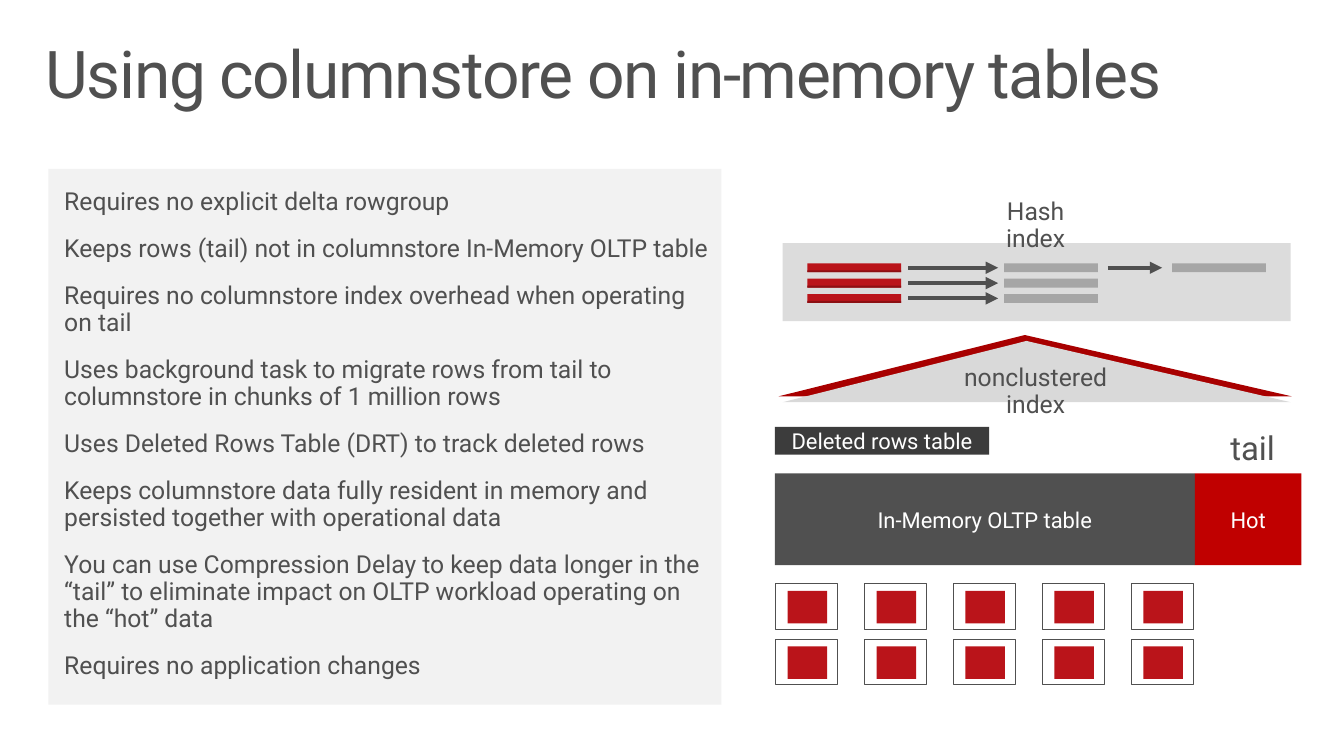
from dataclasses import dataclass, field
from itertools import product
from typing import Any, Optional

from lxml.etree import SubElement
from pptx import Presentation
from pptx.dml.color import RGBColor
from pptx.enum.shapes import MSO_CONNECTOR as Connector, MSO_SHAPE as Preset
from pptx.enum.text import MSO_ANCHOR as Anchor, PP_ALIGN as Align
from pptx.oxml.ns import qn
from pptx.util import Inches, Pt

COLORS = {
    "text": "505050", "white": "FFFFFF", "panel": "F2F2F2", "band": "DCDCDC",
    "tent": "D9D9D9", "roof": "A80000", "red": "BA141A", "red edge": "8C0F13",
    "row": "A6A6A6", "table": "505050", "hot": "C00000", "deleted": "3C3C3C",
}
FONT = "Roboto"
BENEFITS = [
    "Requires no explicit delta rowgroup",
    "Keeps rows (tail) not in columnstore In-Memory OLTP table",
    "Requires no columnstore index overhead when operating on tail",
    "Uses background task to migrate rows from tail to columnstore in chunks of 1 million rows",
    "Uses Deleted Rows Table (DRT) to track deleted rows",
    "Keeps columnstore data fully resident in memory and\npersisted together with operational data",
    "You can use Compression Delay to keep data longer in the “tail” to eliminate impact "
    "on OLTP workload operating on the “hot” data",
    "Requires no application changes",
]
CENTERED = {"alignment": Align.CENTER}
TIGHT = {"line_spacing": 0.9}


@dataclass
class Label:
    paragraphs: list[str]
    size: int
    color: str = "text"
    margins: tuple[float, float, float, float] = (0.1, 0.05, 0.1, 0.05)
    anchor: Anchor = Anchor.TOP
    gap: int = 0
    tracking: int = 0
    layout: dict[str, Any] = field(default_factory=dict)


@dataclass
class Block:
    left: float
    top: float
    width: float
    height: float
    fill: Optional[str] = None
    outline: Optional[str] = None
    preset: Preset = Preset.RECTANGLE
    peak: Optional[float] = None
    label: Optional[Label] = None


@dataclass
class Arrow:
    start: float
    end: float
    y: float


def rgb(name: str) -> RGBColor:
    return RGBColor.from_string(COLORS[name])


def write_label(box: Any, label: Label) -> None:
    frame = box.text_frame
    sides = ("margin_left", "margin_top", "margin_right", "margin_bottom")
    frame_format = {"word_wrap": True, "vertical_anchor": label.anchor}
    frame_format |= {side: Inches(value) for side, value in zip(sides, label.margins)}
    for name, value in frame_format.items():
        setattr(frame, name, value)
    for index, text in enumerate(label.paragraphs):
        para = frame.add_paragraph() if index else frame.paragraphs[0]
        para.text = text
        para_format = {"alignment": Align.LEFT} | label.layout
        if index:
            para_format["space_before"] = Pt(label.gap)
        for name, value in para_format.items():
            setattr(para, name, value)
        for span in para.runs:
            for name, value in {"name": FONT, "size": Pt(label.size)}.items():
                setattr(span.font, name, value)
            span.font.color.rgb = rgb(label.color)
            if label.tracking:
                span.font._element.set("spc", str(label.tracking * 100))


def draw_block(shapes: Any, block: Block) -> None:
    place = [Inches(v) for v in (block.left, block.top, block.width, block.height)]
    if block.label and not block.fill:
        write_label(shapes.add_textbox(*place), block.label)
        return
    box = shapes.add_shape(block.preset, *place)
    box.shadow.inherit = False
    if block.peak is not None:
        box.adjustments[0] = block.peak
    if block.fill:
        box.fill.solid()
        box.fill.fore_color.rgb = rgb(block.fill)
    else:
        box.fill.background()
    if block.outline:
        box.line.color.rgb = rgb(block.outline)
        box.line.width = Pt(0.75)
    else:
        box.line.fill.background()
    if block.label:
        write_label(box, block.label)


def draw_arrow(shapes: Any, arrow: Arrow) -> None:
    line = shapes.add_connector(Connector.STRAIGHT, Inches(arrow.start), Inches(arrow.y),
                                Inches(arrow.end), Inches(arrow.y))
    line.line.color.rgb = rgb("text")
    line.line.width = Pt(3)
    SubElement(line.line._get_or_add_ln(), qn("a:tailEnd"), type="triangle")
    SubElement(line._element.spPr, qn("a:effectLst"))


def draw_hash_rows(shapes: Any) -> None:
    bar_width, bar_height, first_y, pitch = 0.95, 0.09, 2.71, 0.155
    for index in range(3):
        y = first_y + index * pitch
        top = y - bar_height / 2
        draw_block(shapes, Block(8.17, top, bar_width, bar_height, "red"))
        draw_block(shapes, Block(8.17, top + 0.07, bar_width, 0.02, "red edge"))
        draw_arrow(shapes, Arrow(9.19, 10.1, y))
        draw_block(shapes, Block(10.16, top, bar_width, bar_height, "row"))
    draw_arrow(shapes, Arrow(11.21, 11.76, first_y))
    draw_block(shapes, Block(11.86, first_y - bar_height / 2, bar_width, bar_height, "row"))


def draw_chunks(shapes: Any) -> None:
    for row, column in product(range(2), range(5)):
        left, top = 7.85 + 0.9 * column, 5.91 + 0.56 * row
        draw_block(shapes, Block(left + 0.12, top + 0.07, 0.4, 0.33, "red"))
        draw_block(shapes, Block(left, top, 0.63, 0.46, outline="text"))


def index_label(text: str) -> Label:
    return Label([text], 18, margins=(0.3, 0.05, 0.3, 0.05), layout=CENTERED | TIGHT)


def bar_label(text: str) -> Label:
    return Label([text], 16, "white", (0, 0, 0, 0), Anchor.MIDDLE, layout=CENTERED)


def main() -> None:
    deck = Presentation()
    deck.slide_width, deck.slide_height = Inches(13.6), Inches(7.65)
    page = deck.slides.add_slide(deck.slide_layouts[6])
    shapes = page.shapes

    # Title and list of benefits
    title = Label(["Using columnstore on in-memory tables"], 48,
                  margins=(0.16, 0.1, 0.16, 0.1), tracking=-1, layout=TIGHT)
    benefits = Label(BENEFITS, 18, margins=(0.16, 0.2, 0.1, 0.2), gap=15, layout=TIGHT)
    draw_block(shapes, Block(0.3, 0.32, 12.37, 0.91, label=title))
    draw_block(shapes, Block(0.49, 1.71, 6.81, 5.42, "panel", label=benefits))

    # Hash index
    draw_block(shapes, Block(7.92, 2.46, 5.14, 0.79, "band"))
    draw_hash_rows(shapes.add_group_shape().shapes)
    draw_block(shapes, Block(9.8, 1.97, 1.36, 0.37, label=index_label("Hash index")))

    # Nonclustered index
    tent = {"preset": Preset.ISOSCELES_TRIANGLE, "peak": 0.48}
    draw_block(shapes, Block(7.88, 3.39, 5.19, 0.62, "roof", **tent))
    draw_block(shapes, Block(7.92, 3.45, 5.14, 0.62, "tent", **tent))
    draw_block(shapes, Block(9.38, 3.65, 2.2, 0.37, label=index_label("nonclustered index")))

    # Table, its hot tail and the deleted rows
    table = shapes.add_group_shape().shapes
    draw_block(table, Block(7.84, 4.79, 4.25, 0.93, "table", label=bar_label("In-Memory OLTP table")))
    draw_block(table, Block(12.09, 4.79, 1.08, 0.93, "hot", label=bar_label("Hot")))
    draw_block(shapes, Block(7.84, 4.32, 2.17, 0.28, "deleted", label=bar_label("Deleted rows table")))
    tail = Label(["tail"], 24, margins=(0.2, 0.16, 0, 0.16), layout=TIGHT)
    draw_block(shapes, Block(12.25, 4.21, 0.85, 0.69, label=tail))

    # Columnstore chunks
    draw_chunks(shapes.add_group_shape().shapes)

    deck.save("out.pptx")


if __name__ == "__main__":
    main()
